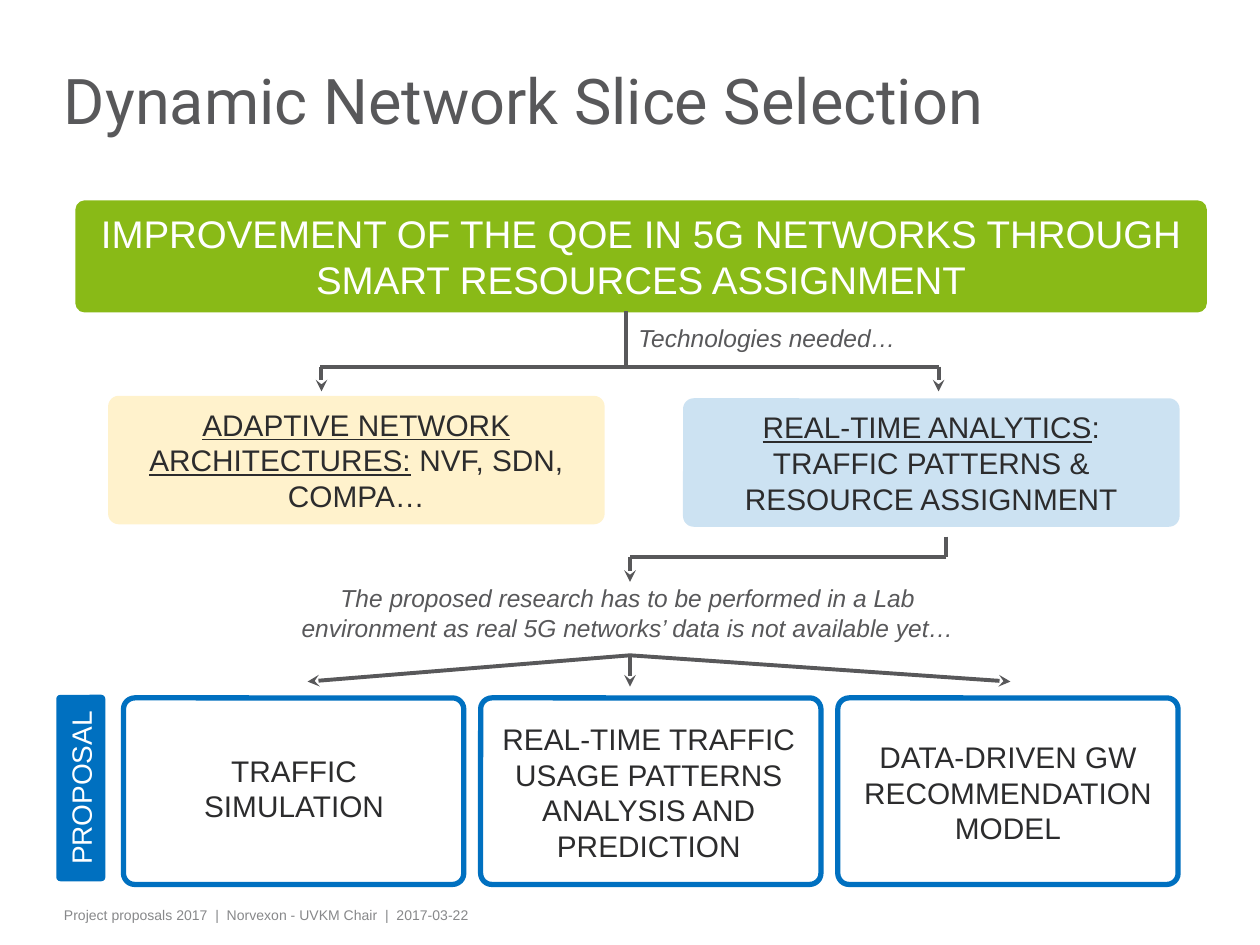
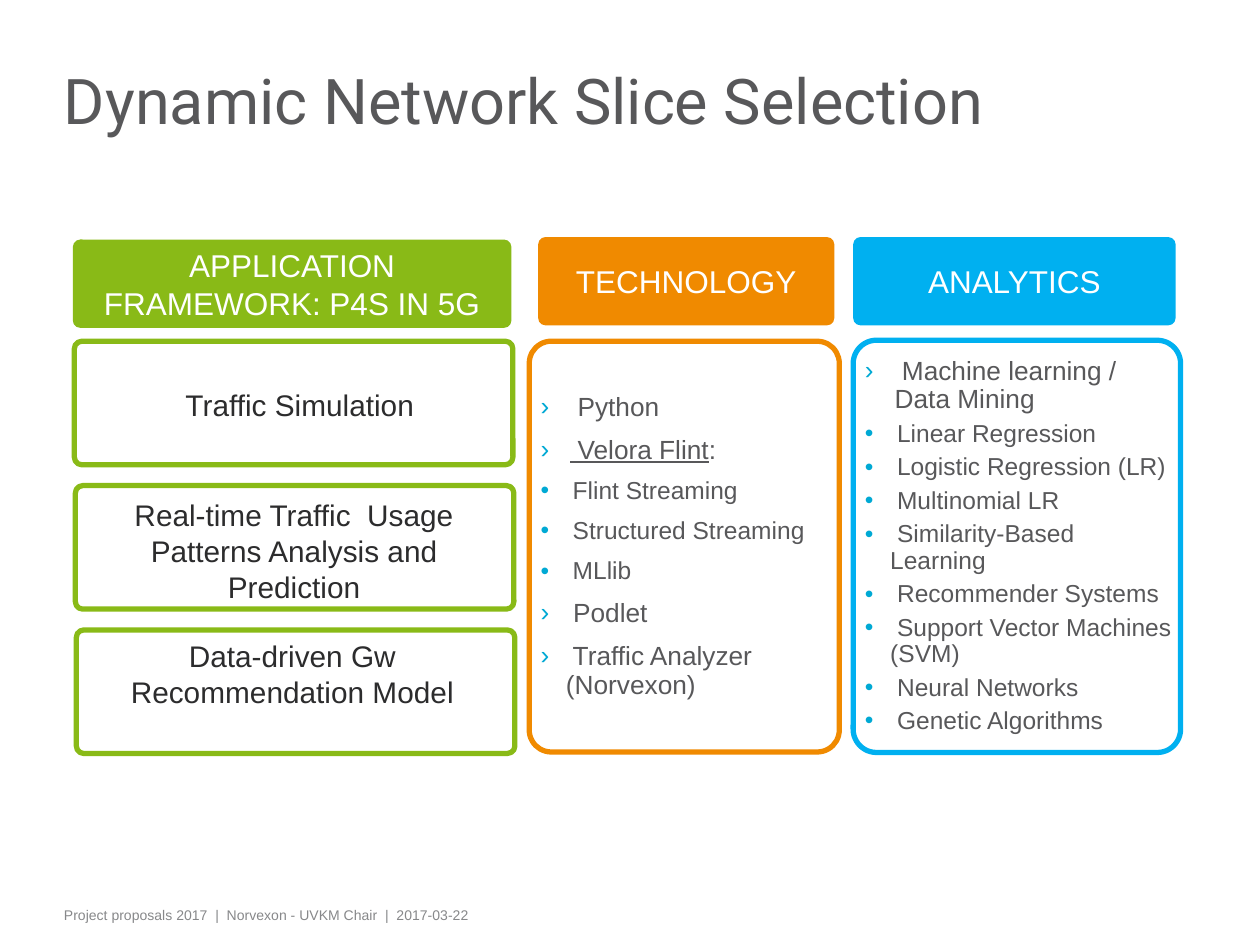
from dataclasses import dataclass
from pptx import Presentation
from pptx.dml.color import RGBColor as Rgb
from pptx.enum.shapes import MSO_CONNECTOR as Link, MSO_SHAPE as Kind
from pptx.enum.text import MSO_ANCHOR as Anchor, PP_ALIGN as Align
from pptx.oxml import parse_xml
from pptx.oxml.ns import nsdecls
from pptx.util import Cm, Pt


@dataclass(frozen=True)
class Theme:
    grey: str = "58585A"
    dark: str = "2C2C2D"
    pale: str = "87888A"
    white: str = "FFFFFF"
    green: str = "89BA17"
    amber: str = "FFC000"
    blue: str = "0070C0"
    orange: str = "F08A00"
    sky: str = "00B0F0"
    mark: str = "00A9D4"
    face: str = "Arial"
    head: str = "Roboto"
    title: int = 36
    banner: int = 22
    column: int = 18
    body: int = 17
    tag: int = 16
    item: int = 15
    note: int = 14
    foot: int = 8


T = Theme()
TIGHT = (0.2, 0.13, 0.2, 0.13)
LOOSE = (0.25, 0.13, 0.25, 0.13)
LIST = (0.1, 0.13, 0, 0.13)


def apply(item, values):
    for name, value in values.items():
        setattr(item, name, value)


def node(tag, inner="", attrs=""):
    return parse_xml(f"<a:{tag} {nsdecls('a')} {attrs}>{inner}</a:{tag}>")


def setup(frame, pads, anchor):
    left, top, right, base = map(Cm, pads)
    apply(frame, dict(word_wrap=True, margin_left=left, margin_top=top,
                      margin_right=right, margin_bottom=base,
                      vertical_anchor=anchor))


def write(para, runs, size, color, face=T.face, **style):
    for text, extra in runs:
        run = para.add_run()
        run.text = text
        apply(run.font, dict(size=Pt(size), name=face, **style, **extra))
        run.font.color.rgb = Rgb.from_string(color)


def plain(text):
    return [(text, {})]


def label(slide, box, text, size, color, align=Align.LEFT, pads=LOOSE,
          anchor=Anchor.TOP, lead=None, **style):
    shape = slide.shapes.add_textbox(*map(Cm, box))
    setup(shape.text_frame, pads, anchor)
    para = shape.text_frame.paragraphs[0]
    apply(para, dict(alignment=align, line_spacing=lead))
    write(para, plain(text), size, color, **style)


def panel(slide, box, fill=None, edge=None, curve=0.083, alpha=None):
    shape = slide.shapes.add_shape(Kind.ROUNDED_RECTANGLE, *map(Cm, box))
    shape.shadow.inherit = False
    shape.adjustments[0] = curve
    if fill:
        shape.fill.solid()
        shape.fill.fore_color.rgb = Rgb.from_string(fill)
    else:
        shape.fill.background()
    if alpha:
        tint = shape.fill._xPr.find(".//{*}srgbClr")
        tint.append(node("alpha", attrs=f'val="{alpha * 1000}"'))
    if edge:
        shape.line.color.rgb = Rgb.from_string(edge)
        shape.line.width = Pt(3)
    else:
        shape.line.fill.background()
    return shape


def block(slide, box, runs, size, fill, color=T.white, alpha=None):
    shape = panel(slide, box, fill, alpha=alpha)
    setup(shape.text_frame, TIGHT, Anchor.MIDDLE)
    para = shape.text_frame.paragraphs[0]
    para.alignment = Align.CENTER
    write(para, runs, size, color)
    return shape


def line(slide, start, end, tip=False):
    link = slide.shapes.add_connector(Link.STRAIGHT, *map(Cm, start + end))
    link.line.color.rgb = Rgb.from_string(T.grey)
    link.line.width = Pt(2.25)
    if tip:
        link.line._get_or_add_ln().append(node("tailEnd", attrs='type="stealth"'))
    link._element.spPr.append(node("effectLst"))


def frame(deck):
    slide = deck.slides.add_slide(deck.slide_layouts[6])
    label(slide, (1.09, 18.14, 20.55, 0.61),
          "Project proposals 2017  |  Norvexon - UVKM Chair  |  2017-03-22",
          T.foot, T.pale, pads=TIGHT)
    label(slide, (1.09, 0.66, 20.83, 3.02), "Dynamic Network Slice Selection",
          T.title, T.grey, pads=(0.2, 0, 0.2, 0), anchor=Anchor.MIDDLE,
          lead=0.75, face=T.head)
    return slide


def cards(slide, box, step, edge, items):
    left, top, wide, high = box
    for i, (text, (dx, dy, w, h)) in enumerate(items):
        x, y = left + i * step[0], top + i * step[1]
        panel(slide, (x, y, wide, high), edge=edge, curve=0.06)
        label(slide, (x + dx, y + dy, w, h), text, T.body, T.dark, Align.CENTER)


def fork(slide, box):
    left, top, wide, high = box
    mid, bar = left + 6.17, top + 1.12
    line(slide, (mid, top), (mid, bar))
    line(slide, (left + wide, bar), (left, bar))
    for x in (left + 0.03, left + wide):
        line(slide, (x, bar), (x, top + high), True)
    label(slide, (mid, top + 0.11, 6.68, 0.86), "Technologies needed…",
          T.note, T.grey, italic=True)


def elbow(slide, box):
    left, top, wide, high = box
    bar = top + 0.41
    line(slide, (left + wide, top), (left + wide, bar))
    line(slide, (left + wide, bar), (left, bar))
    line(slide, (left, bar), (left, top + high), True)


def fan(slide, box):
    left, top, wide, high = box
    hub = left + 6.5
    for x, y in ((left, high - 0.1), (left + wide, high - 0.1), (hub, high)):
        line(slide, (hub, top), (x, top + y), True)


def needs(slide, box):
    left, top, wide, high = box
    under = dict(underline=True)
    block(slide, (left, top, wide, high),
          [("ADAPTIVE NETWORK ARCHITECTURES:", under),
           (" NVF, SDN, COMPA…", {})], T.body, T.amber, T.dark, 20)
    block(slide, (left + 11.59, top + 0.05, wide, high),
          [("REAL-TIME ANALYTICS", under),
           (": TRAFFIC PATTERNS & RESOURCE ASSIGNMENT", {})],
          T.body, T.blue, T.dark, 20)


def plan(slide, box):
    left, top, wide, high = box
    tag = block(slide, (left - 2.74, top + 1.32, high, 0.99),
                plain("PROPOSAL"), T.tag, T.blue)
    tag.rotation = 270
    cards(slide, (left, top, wide, high), (7.2, 0), T.blue, [
        ("TRAFFIC SIMULATION", (0.33, 0.97, 6.22, 1.7)),
        ("REAL-TIME TRAFFIC USAGE PATTERNS ANALYSIS AND PREDICTION",
         (0.05, 0.33, 6.68, 3.18)),
        ("DATA-DRIVEN GW RECOMMENDATION MODEL", (0, 0.69, 6.86, 2.44))])


def bullets(slide, box, edge, items, gap):
    shape = panel(slide, box, edge=edge, curve=0.071)
    setup(shape.text_frame, LIST, Anchor.MIDDLE)
    for i, (sign, hang, runs) in enumerate(items):
        body = shape.text_frame
        para = body.add_paragraph() if i else body.paragraphs[0]
        size = T.item if sign == "›" else T.note
        apply(para, dict(alignment=Align.LEFT, line_spacing=0.9))
        if i:
            para.space_before = Pt(gap or round(size * 0.56, 1))
        props = para._p.get_or_add_pPr()
        props.set("marL", str(Cm(hang)))
        props.set("indent", str(-Cm(hang)))
        props.append(node("buClr", f'<a:srgbClr val="{T.mark}"/>'))
        props.append(node("buFont", attrs=f'typeface="{T.face}"'))
        props.append(node("buChar", attrs=f'char="{sign}"'))
        write(para, runs, size, T.grey)


def main(text, hang=0.51):
    return "›", hang, plain(" " + text)


def sub(text):
    return "•", 0.51, plain(" " + text)


def goals(deck):
    slide = frame(deck)
    block(slide, (1.52, 4.04, 22.81, 2.26),
          plain("IMPROVEMENT OF THE QOE IN 5G NETWORKS THROUGH "
                "SMART RESOURCES ASSIGNMENT"), T.banner, T.green)
    needs(slide, (2.18, 7.98, 10.01, 2.59))
    fork(slide, (6.45, 6.27, 12.47, 1.62))
    elbow(slide, (12.7, 10.82, 6.38, 0.91))
    label(slide, (5.69, 11.63, 13.94, 1.45),
          "The proposed research has to be performed in a Lab environment "
          "as real 5G networks’ data is not available yet…",
          T.note, T.grey, Align.CENTER, italic=True)
    fan(slide, (6.2, 13.21, 14.17, 0.63))
    plan(slide, (2.49, 14.07, 6.86, 3.76))


def stack(deck):
    slide = frame(deck)
    for box, text, fill in (
            ((1.47, 4.83, 8.84, 1.78), "APPLICATION FRAMEWORK: P4S IN 5G", T.green),
            ((10.85, 4.78, 5.97, 1.78), "TECHNOLOGY", T.orange),
            ((17.2, 4.78, 6.5, 1.78), "ANALYTICS", T.sky)):
        block(slide, box, plain(text), T.column, fill)
    cards(slide, (1.5, 6.88, 8.84, 2.49), (0.02, 2.91), T.green, [
        ("Traffic Simulation", (0.38, 0.79, 8.33, 0.99)),
        ("Real-time Traffic  Usage Patterns Analysis and Prediction",
         (-0.02, 0.1, 8.86, 2.44)),
        ("Data-driven Gw Recommendation Model", (0.15, 0.03, 8.41, 1.7))])
    engine = [(" Velora Flint", dict(underline=True)), (":", {})]
    bullets(slide, (10.67, 6.88, 6.25, 8.28), T.orange, [
        main("Python", 0.6), ("›", 0.6, engine),
        *map(sub, ("Flint Streaming", "Structured Streaming", "MLlib")),
        main("Podlet"), main("Traffic Analyzer (Norvexon)")], None)
    bullets(slide, (17.2, 6.86, 6.6, 8.31), T.sky, [
        main("Machine learning / Data Mining", 0.6),
        *map(sub, ("Linear Regression", "Logistic Regression (LR)",
                   "Multinomial LR", "Similarity-Based Learning",
                   "Recommender Systems", "Support Vector Machines (SVM)",
                   "Neural Networks", "Genetic Algorithms"))], 4)


deck = Presentation()
apply(deck, dict(slide_width=Cm(25.4), slide_height=Cm(19.05)))
goals(deck)
stack(deck)
deck.save("out.pptx")
